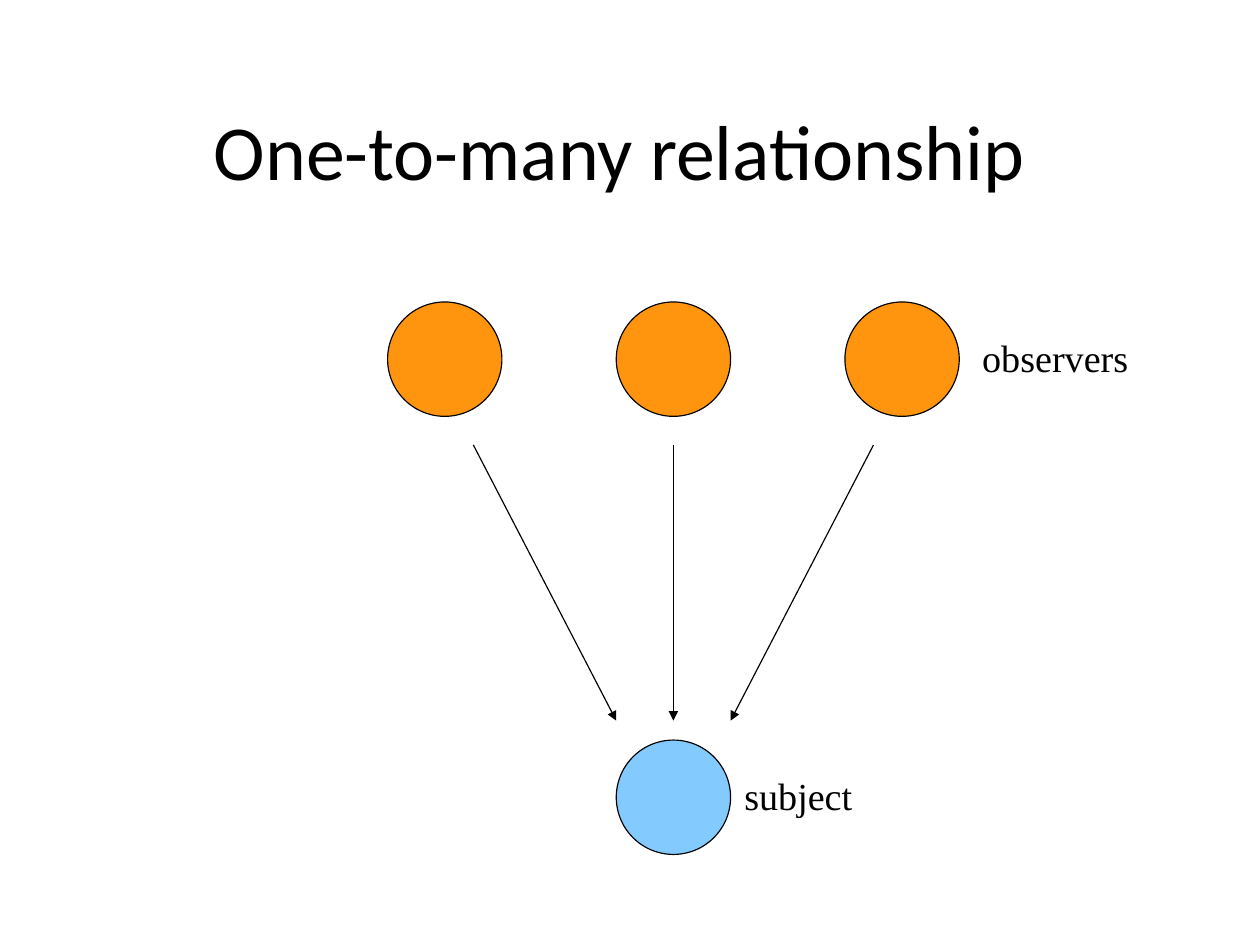
from lxml import etree
from pptx import Presentation
from pptx.dml.color import RGBColor
from pptx.enum.shapes import MSO_CONNECTOR, MSO_SHAPE
from pptx.enum.text import MSO_ANCHOR, MSO_AUTO_SIZE, PP_ALIGN
from pptx.oxml.ns import qn
from pptx.util import Inches, Pt

OVAL = MSO_SHAPE.OVAL
LINE = MSO_CONNECTOR.STRAIGHT
MIDDLE = MSO_ANCHOR.MIDDLE
CENTER = PP_ALIGN.CENTER
FIXED = MSO_AUTO_SIZE.NONE

INK = {"text": "000000", "line": "000000", "watcher": "FF950E", "subject": "83CAFF"}
WIDE, HIGH = 11.02, 8.27
CELL = 1.0


def tint(name):
    return RGBColor.from_string(INK[name])


def pad(frame, side, top, base):
    frame.margin_left = frame.margin_right = Inches(side)
    frame.margin_top, frame.margin_bottom = Inches(top), Inches(base)
    frame.word_wrap = True
    frame.auto_size = FIXED


def write(para, words, face, size):
    run = para.add_run()
    run.text = words
    run.font.name = face
    run.font.size = Pt(size)
    run.font.color.rgb = tint("text")


def stroke(line):
    line.color.rgb = tint("line")
    line.width = Pt(0.75)


def node(slide, x, y, kind):
    disc = slide.shapes.add_shape(OVAL, Inches(x), Inches(y), Inches(CELL), Inches(CELL))
    disc.shadow.inherit = False
    disc.fill.solid()
    disc.fill.fore_color.rgb = tint(kind)
    stroke(disc.line)


def arrow(slide, start, end):
    link = slide.shapes.add_connector(LINE, *[Inches(v) for v in (*start, *end)])
    stroke(link.line)
    etree.SubElement(link.line._get_or_add_ln(), qn("a:tailEnd"), type="triangle")
    etree.SubElement(link._element.spPr, qn("a:effectLst"))


def label(slide, x, y, wide, words):
    box = slide.shapes.add_textbox(Inches(x), Inches(y), Inches(wide), Inches(0.4))
    pad(box.text_frame, 0, 0.02, 0)
    para = box.text_frame.paragraphs[0]
    para.line_spacing = 0.93
    para.space_before = para.space_after = Pt(5.8)
    write(para, words, "Times New Roman", 24)


def heading(slide, x, y, wide, high):
    title = slide.shapes.title
    title.left, title.top = Inches(x), Inches(y)
    title.width, title.height = Inches(wide), Inches(high)
    frame = title.text_frame
    pad(frame, 0.11, 0.06, 0.06)
    frame.vertical_anchor = MIDDLE
    para = frame.paragraphs[0]
    para.alignment = CENTER
    write(para, "One-to-many relationship", "Calibri", 49)


def diagram(slide, x, y):
    mid = x + 2.5 * CELL
    base = y + 3.83 * CELL
    node(slide, mid - CELL / 2, base, "subject")
    for side in (-1, 0, 1):
        node(slide, mid + (2 * side - 0.5) * CELL, y, "watcher")
        arrow(
            slide,
            (mid + 1.75 * side * CELL, y + 1.25 * CELL),
            (mid + 0.5 * side * CELL, y + 3.66 * CELL),
        )
    label(slide, x + 3.12 * CELL, base + 0.3 * CELL, 1.25, "subject")
    label(slide, x + 5.2 * CELL, y + 0.3 * CELL, 1.75, "observers")


def main():
    deck = Presentation()
    deck.slide_width, deck.slide_height = Inches(WIDE), Inches(HIGH)
    slide = deck.slides.add_slide(deck.slide_layouts[5])
    edge = 0.08 * HIGH + 0.13
    heading(slide, edge, 0.75, WIDE - 2 * edge - 0.19, 1.12)
    diagram(slide, 3.39, 2.64)
    deck.save("out.pptx")


if __name__ == "__main__":
    main()
